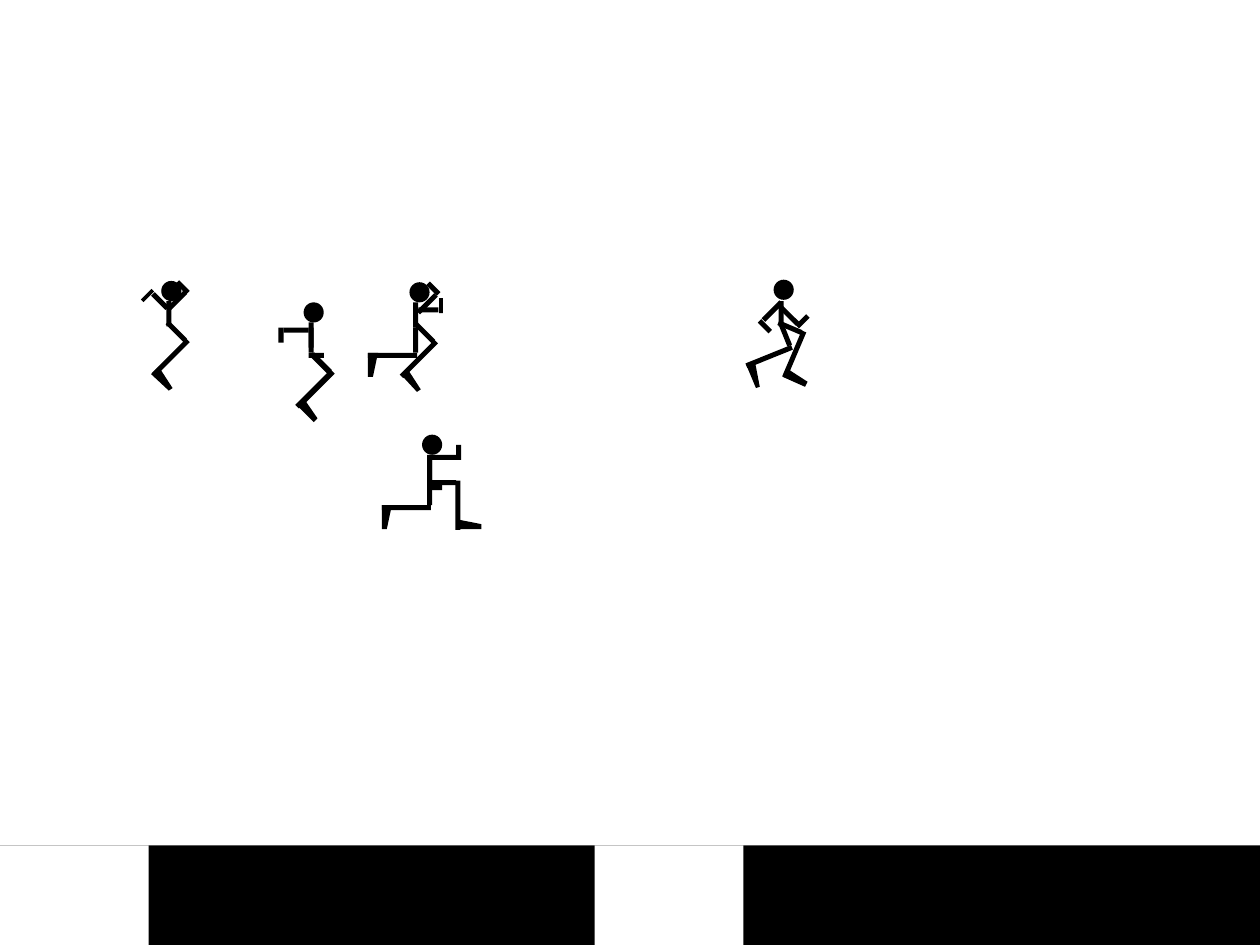
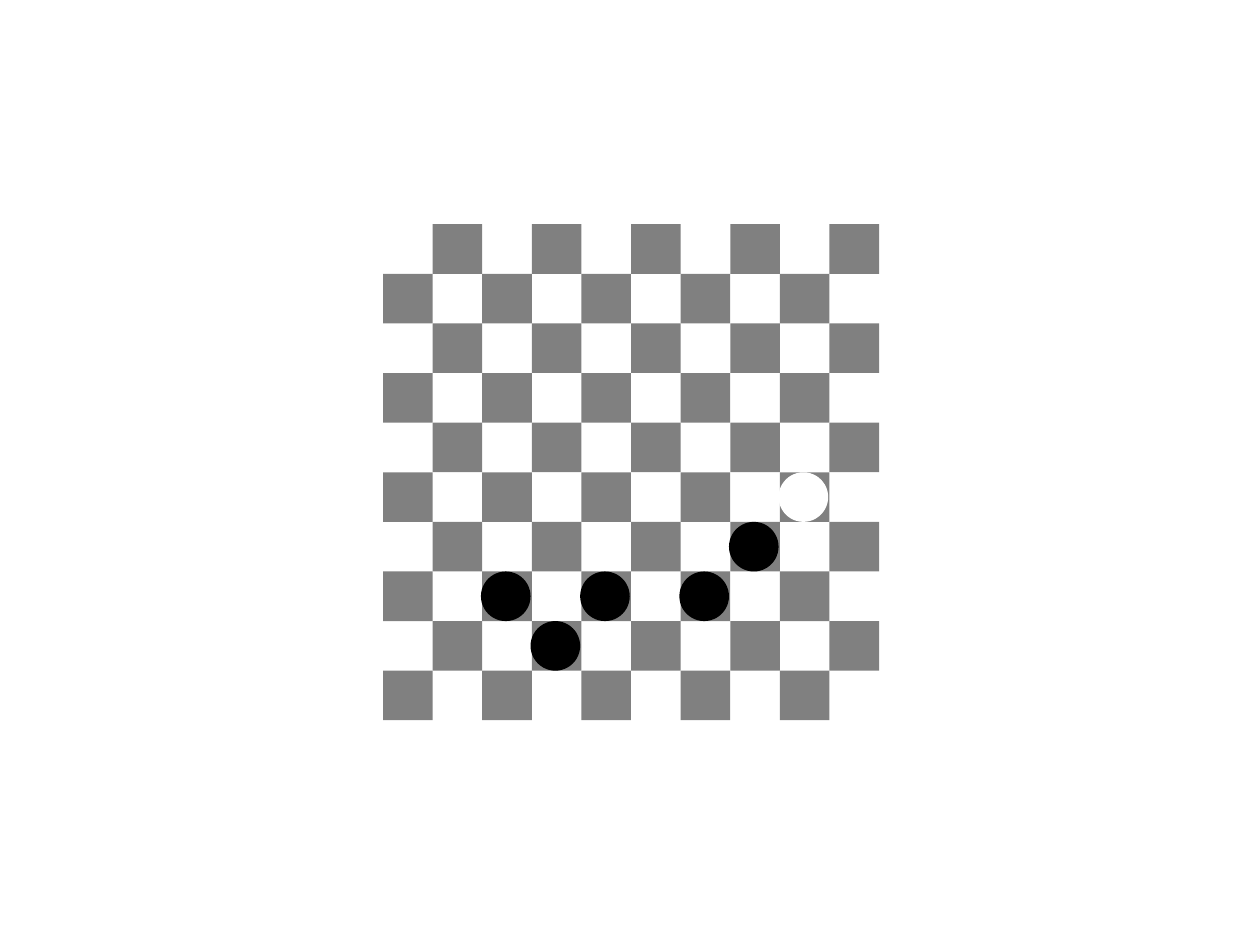
from pptx import Presentation
from pptx.dml.color import RGBColor
from pptx.enum.shapes import MSO_SHAPE

RECT = MSO_SHAPE.RECTANGLE
OVAL = MSO_SHAPE.OVAL
BLACK = RGBColor(0x00, 0x00, 0x00)
WHITE = RGBColor(0xFF, 0xFF, 0xFF)
GREY = RGBColor(0x80, 0x80, 0x80)
PX = 9144  # 100 px to the inch


def paint(shape, color):
    shape.shadow.inherit = False
    shape.fill.solid()
    shape.fill.fore_color.rgb = color
    shape.line.fill.background()


def draw(group, kind, x, y, w, h, color, turn=0):
    box = [round(n * PX) for n in (x, y, w, h)]
    shape = group.shapes.add_shape(kind, *box)
    shape.rotation = turn
    paint(shape, color)


prs = Presentation()
prs.slide_width = 1000 * PX
prs.slide_height = 750 * PX
blank = prs.slide_layouts[6]

# Slide 1: stick figures above a floor with gaps
fight = prs.slides.add_slide(blank)

# Body parts: width and height before turning
PARTS = {"shin": (39, 4), "limb": (4, 20), "arm": (4, 16), "hand": (12, 4),
         "palm": (12, 3)}

# Each figure: head corner, bars (part, x, y, turn), feet outlines
FIGURES = [
    # Kneeling
    ((335, 345),
     [("shin", 303, 401, 0), ("limb", 339, 381, 0), ("shin", 344, 399, 270),
      ("limb", 350, 373, 270), ("limb", 339, 361, 0), ("hand", 358, 357, 270),
      ("limb", 350, 353, 270), ("hand", 339, 385, 0), ("limb", 339, 365, 0)],
     [[(303, 401), (311, 401), (307, 420), (303, 420)],
      [(362, 420), (362, 412), (382, 416), (382, 420)]]),
    # Reaching back
    ((241, 240),
     [("shin", 230, 307, 315), ("limb", 252, 278, 315), ("shin", 231, 307, 315),
      ("limb", 253, 278, 315), ("limb", 245, 256, 0), ("hand", 245, 280, 0),
      ("limb", 245, 260, 0), ("hand", 217, 264, 90), ("limb", 233, 252, 90)],
     [[(235, 321), (241, 316), (252, 332), (249, 335)]]),
    # Arms up
    ((128, 223),
     [("shin", 116, 282, 315), ("limb", 138, 253, 315), ("limb", 132, 239, 0),
      ("hand", 139, 226, 225), ("limb", 138, 229, 225), ("palm", 111, 233, 135),
      ("arm", 125, 231, 135)],
     [[(120, 297), (126, 291), (137, 308), (134, 310)]]),
    # Lunging
    ((325, 224),
     [("shin", 313, 283, 315), ("limb", 335, 254, 315), ("shin", 292, 280, 0),
      ("limb", 328, 260, 0), ("limb", 328, 240, 0), ("hand", 338, 227, 225),
      ("limb", 337, 231, 225), ("palm", 344, 241, 270), ("arm", 338, 238, 270)],
     [[(318, 297), (323, 292), (334, 309), (331, 311)],
      [(292, 280), (300, 280), (296, 299), (292, 299)]]),
    # Running
    ((614, 222),
     [("shin", 591, 281, 338), ("limb", 621, 255, 338), ("shin", 611, 279, 293),
      ("limb", 625, 250, 293), ("limb", 618, 239, 0), ("hand", 631, 253, 315),
      ("limb", 624, 240, 315), ("hand", 601, 257, 45), ("limb", 611, 237, 45)],
     [[(592, 289), (599, 286), (603, 307), (600, 308)],
      [(621, 299), (624, 292), (641, 303), (639, 307)]]),
]
for head, bars, feet in FIGURES:
    figure = fight.shapes.add_group_shape()
    for part, x, y, turn in bars:
        draw(figure, RECT, x, y, *PARTS[part], BLACK, turn)
    for foot in feet:
        pen = figure.shapes.build_freeform(*foot[0], scale=PX)
        pen.add_line_segments(foot[1:], close=True)
        paint(pen.convert_to_shape(), BLACK)
    draw(figure, OVAL, *head, 16, 16, BLACK)

# Floor and its gaps
draw(fight, RECT, 0, 671, 1000, 79, BLACK)
gaps = fight.shapes.add_group_shape()
for x in (0, 472):
    draw(gaps, RECT, x, 671, 118, 79, WHITE)

# Slide 2: draughts board
game = prs.slides.add_slide(blank)
board = game.shapes.add_group_shape()
LEFT, TOP, CELL, SIDE = 304, 178, 39.37, 10  # cells are 1 cm wide

for row in range(SIDE):
    for col in range(SIDE):
        if (row + col) % 2:
            draw(board, RECT, LEFT + col * CELL, TOP + row * CELL,
                 CELL, CELL, GREY)

# Pieces: column, row, colour
PIECES = [(2, 7, BLACK), (3, 8, BLACK), (6, 7, BLACK), (4, 7, BLACK),
          (7, 6, BLACK), (8, 5, WHITE)]
for col, row, color in PIECES:
    draw(board, OVAL, LEFT - 1 + col * CELL, TOP + row * CELL,
         CELL, CELL, color)

prs.save("out.pptx")
